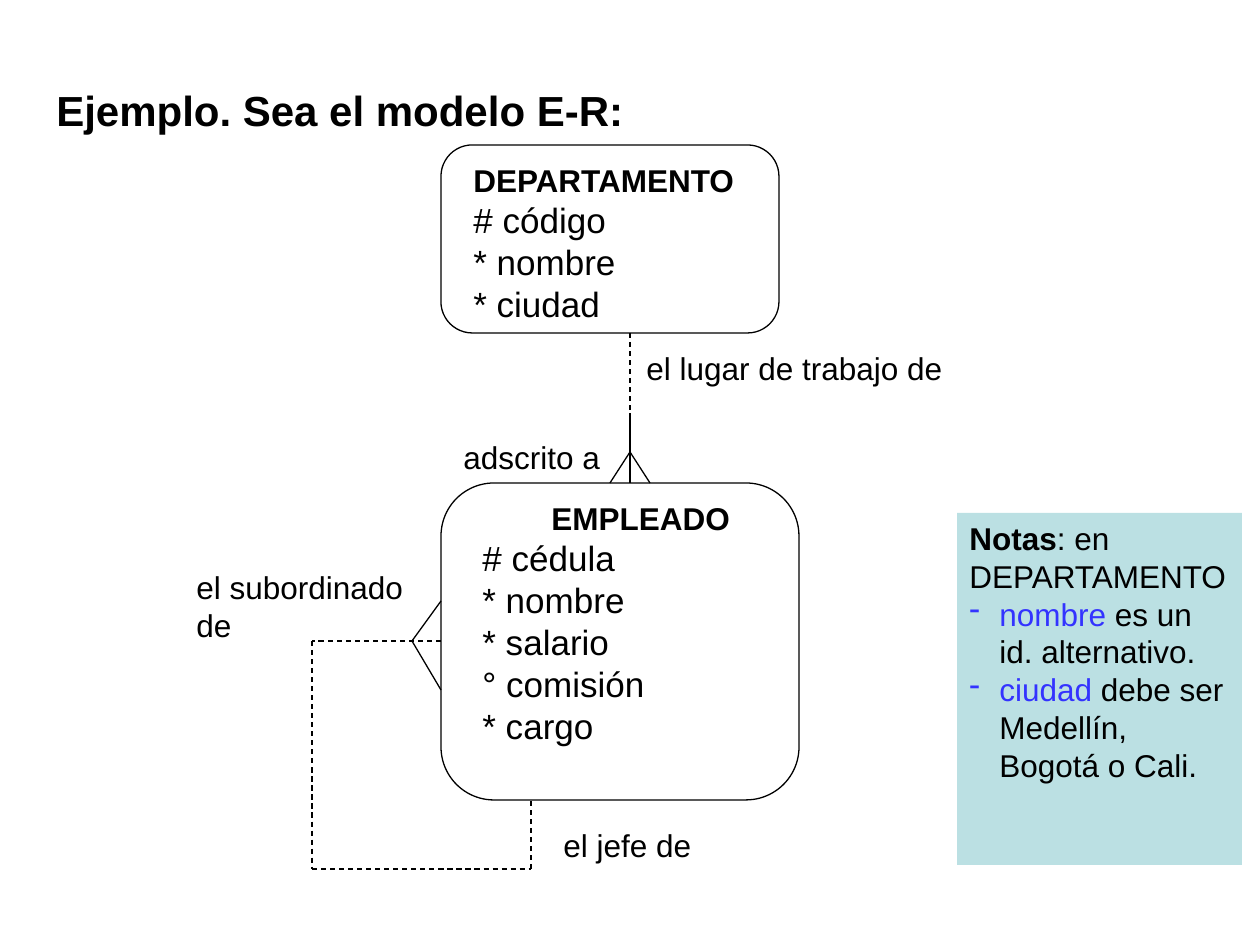
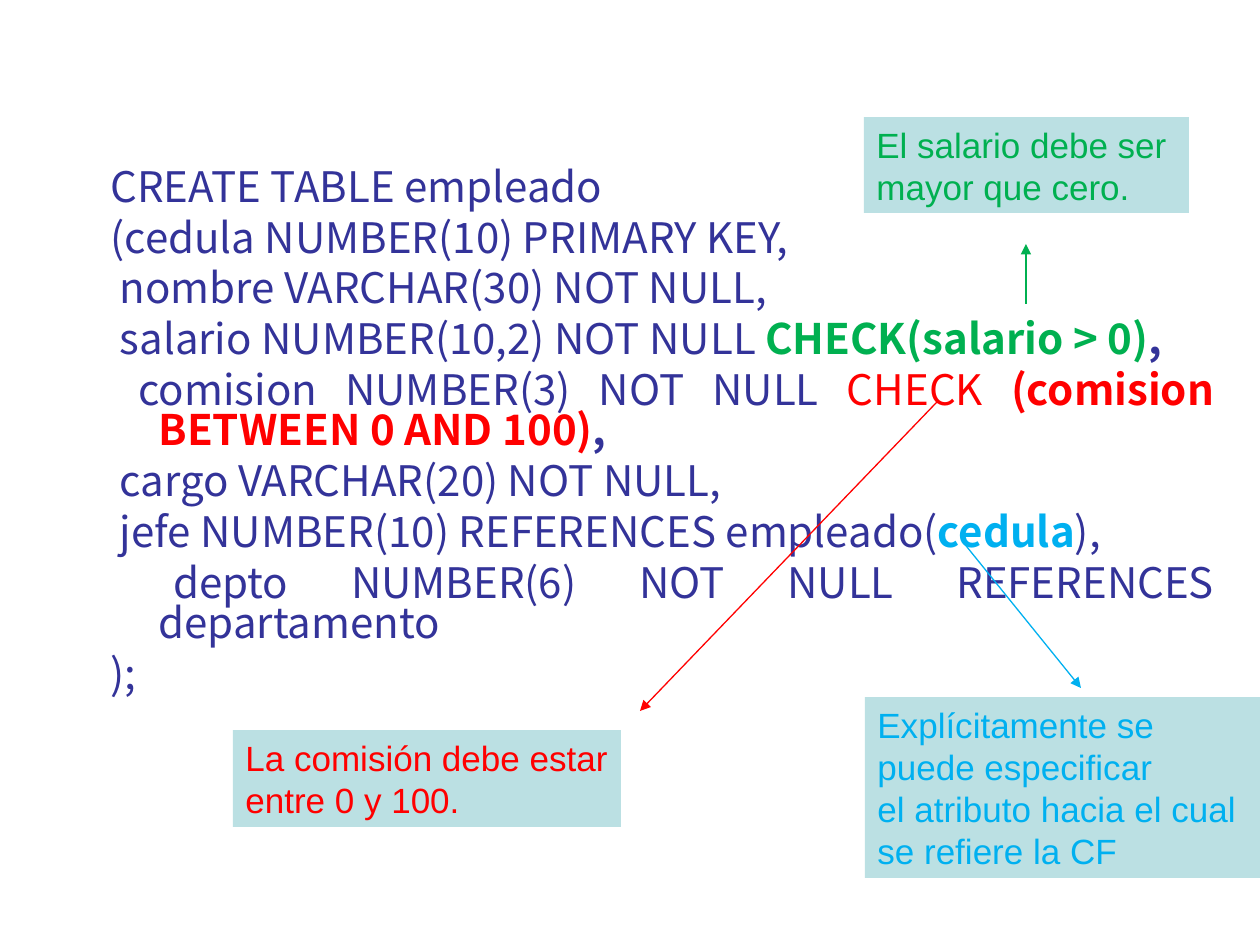
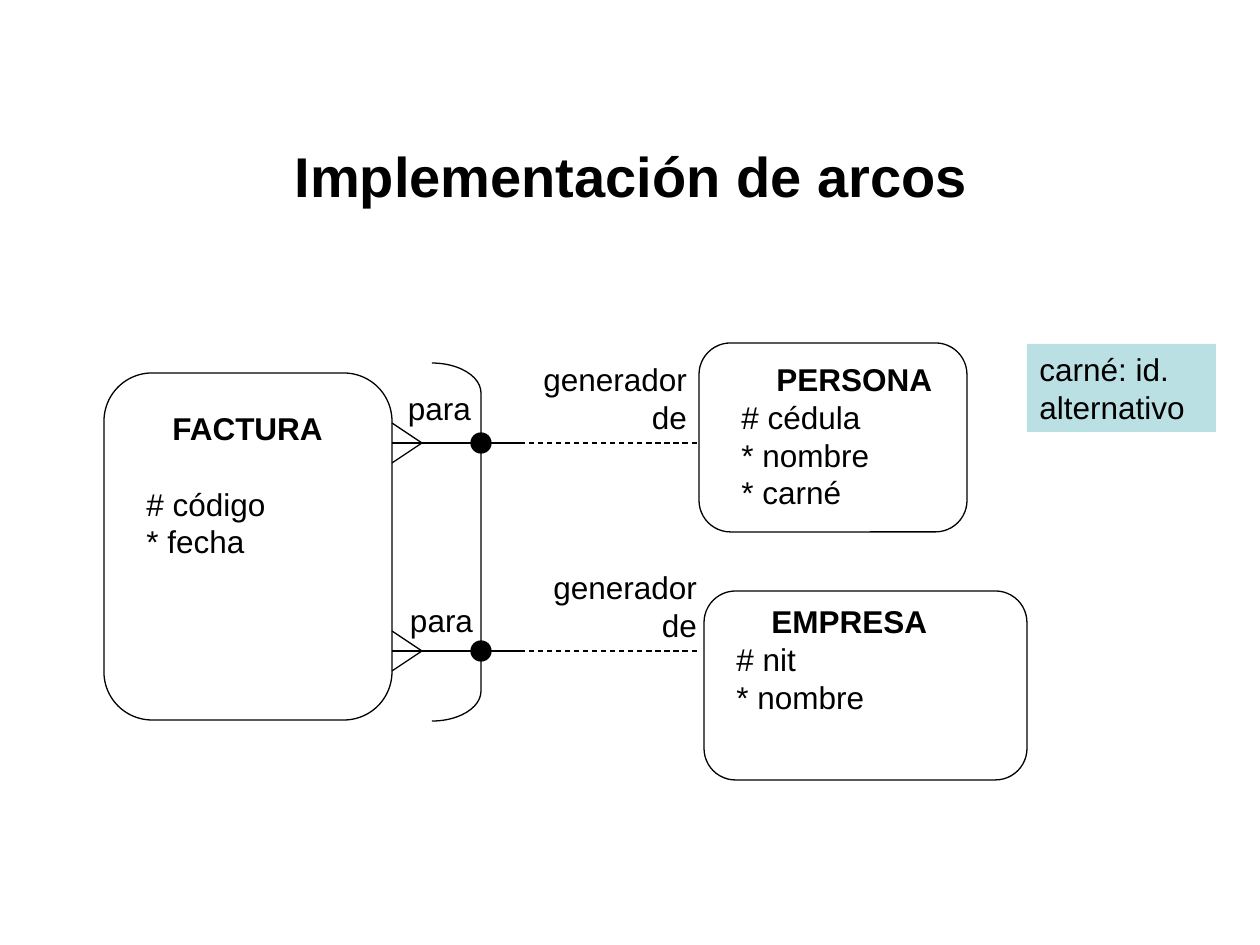
from lxml import etree
from pptx import Presentation
from pptx.dml.color import RGBColor
from pptx.enum.dml import MSO_LINE
from pptx.enum.shapes import MSO_CONNECTOR, MSO_SHAPE
from pptx.enum.text import PP_ALIGN
from pptx.oxml.ns import qn
from pptx.util import Pt

STRAIGHT = MSO_CONNECTOR.STRAIGHT
ROUNDED, BRACKET, OVAL = MSO_SHAPE.ROUNDED_RECTANGLE, MSO_SHAPE.RIGHT_BRACKET, MSO_SHAPE.OVAL
DASH = MSO_LINE.DASH
LEFT, CENTER, RIGHT, JUSTIFY = PP_ALIGN.LEFT, PP_ALIGN.CENTER, PP_ALIGN.RIGHT, PP_ALIGN.JUSTIFY

BLACK, NOTE, BLUE, NAVY = "000000", "BBE0E3", "3333FF", "333399"
GREEN, RED, CYAN = "00B050", "FF0000", "00B0F0"
SANS, CODE = "Arial", "Noto Sans CJK SC"
EMU_PER_PX = 914400 / 126

MODEL_TITLE = "Ejemplo. Sea el modelo E-R:"
MODEL_ENTITIES = [
    dict(outline=(441, 145, 338, 188), caption=(461, 155, 300, 176), name="DEPARTAMENTO",
         attributes=["# código", "* nombre", "* ciudad"], size=20),
    dict(outline=(441, 483, 358, 317), caption=(470, 493, 320, 261), name="EMPLEADO", shift=69,
         attributes=["# cédula", "* nombre", "* salario", "° comisión", "* cargo"], size=20),
]
MODEL_SOLID = [[(630, 413), (630, 483)], [(610, 483), (630, 452), (650, 483)],
               [(441, 601), (412, 641), (441, 690)]]
MODEL_DASHED = [[(630, 333), (630, 413)],
                [(441, 641), (312, 641), (312, 869), (531, 869), (531, 800)]]
MODEL_ROLES = [
    ((551, 820, 180, 50), ["el jefe de"]),
    ((184, 562, 240, 88), ["el subordinado", "de"]),
    ((634, 343, 367, 50), ["el lugar de trabajo de"]),
    ((451, 432, 208, 50), ["adscrito a"]),
]
NOTES_BOX = (957, 513, 285, 352)
NOTES_HEADING = [("Notas", dict(bold=True)), ": en DEPARTAMENTO"]
NOTES = [[("nombre", dict(color=BLUE)), " es un id. alternativo."],
         [("ciudad", dict(color=BLUE)), " debe ser Medellín, Bogotá o Cali."]]

CREATE_TABLE = [
    "CREATE TABLE empleado",
    "(cedula NUMBER(10) PRIMARY KEY,",
    " nombre VARCHAR(30) NOT NULL,",
    [" salario NUMBER(10,2) NOT NULL ", ("CHECK(salario > 0)", dict(color=GREEN, bold=True)),
     (",", dict(bold=True))],
    [" comision NUMBER(3) NOT NULL ", ("CHECK ", dict(color=RED)),
     ("(comision BETWEEN 0 AND 100)", dict(color=RED, bold=True)), (",", dict(bold=True))],
    " cargo VARCHAR(20) NOT NULL,",
    [" jefe NUMBER(10) REFERENCES empleado(", ("cedula", dict(color=CYAN, bold=True)), "),"],
    " depto NUMBER(6) NOT NULL REFERENCES departamento",
    ");",
]
CONSTRAINTS = [
    (CYAN, (865, 697, 395, 181), [(963, 542), (1081, 688)],
     ["Explícitamente se puede especificar", "el atributo hacia el cual", "se refiere la CF"]),
    (GREEN, (864, 117, 325, 96), [(1026, 304), (1026, 244)],
     ["El salario debe ser", "mayor que cero."]),
    (RED, (233, 730, 388, 97), [(937, 402), (640, 711)],
     ["La comisión debe estar", "entre 0 y 100."]),
]

ARC_TITLE = "Implementación de arcos"
ARC_ENTITIES = [
    dict(outline=(104, 373, 288, 347), caption=(134, 403, 225, 164), name="FACTURA", shift=26,
         attributes=["# código", "* fecha"], name_gap=21.6),
    dict(outline=(699, 343, 268, 189), caption=(729, 354, 238, 202), name="PERSONA", shift=35,
         attributes=["# cédula", "* nombre", "* carné"]),
    dict(outline=(704, 591, 323, 189), caption=(724, 596, 270, 164), name="EMPRESA", shift=35,
         attributes=["# nit", "* nombre"]),
]
ARC_BRACKET = (432, 363, 49, 358)
ARC_BRANCHES = [
    (443, ("generador de", (520, 354, 179, 88)), ("para", (373, 383, 110, 50))),
    (651, ("generador de", (530, 562, 179, 88)), ("para", (375, 595, 110, 50))),
]
ARC_NOTE = ("carné: id. alternativo", (1027, 344, 189, 88))


def px(length):
    return round(length * EMU_PER_PX)


def place(box):
    return [px(length) for length in box]


def rgb(color):
    return RGBColor.from_string(color)


def text(slide, box, paragraphs, size=18, color=BLACK, font=SANS, bold=False, align=LEFT,
         fill=None, top=6, right=12, spacing=None, after=0, hanging=0):
    label = slide.shapes.add_textbox(*place(box))
    if fill:
        label.fill.solid()
        label.fill.fore_color.rgb = rgb(fill)
    frame = label.text_frame
    frame.word_wrap = True
    frame.margin_right = px(right)
    frame.margin_top = px(top)
    for index, content in enumerate(paragraphs):
        paragraph = frame.paragraphs[0] if index == 0 else frame.add_paragraph()
        paragraph.alignment = align
        paragraph.space_after = Pt(after)
        if spacing:
            paragraph.line_spacing = spacing
        if hanging:
            indent(paragraph, hanging, -hanging)
        for part in [content] if isinstance(content, str) else content:
            words, own = (part, {}) if isinstance(part, str) else part
            run = paragraph.add_run()
            run.text = words
            run.font.name = font
            run.font.size = Pt(own.get("size", size))
            run.font.bold = own.get("bold", bold)
            run.font.color.rgb = rgb(own.get("color", color))
    return frame.paragraphs


def indent(paragraph, margin, first):
    properties = paragraph._p.get_or_add_pPr()
    properties.set("marL", str(px(margin)))
    properties.set("indent", str(px(first)))
    return properties


def dash_bullet(paragraph, color):
    properties = indent(paragraph, 30, -30)
    tint = etree.SubElement(properties, qn("a:buClr"))
    etree.SubElement(tint, qn("a:srgbClr"), val=color)
    etree.SubElement(properties, qn("a:buChar"), char="-")


def outline(slide, kind, box, adjustment=None, fill=None):
    shape = slide.shapes.add_shape(kind, *place(box))
    shape.shadow.inherit = False
    if fill:
        shape.fill.solid()
        shape.fill.fore_color.rgb = rgb(fill)
    else:
        shape.fill.background()
    shape.line.color.rgb = rgb(BLACK)
    shape.line.width = Pt(0.75)
    if adjustment is not None:
        shape.adjustments[0] = adjustment


def route(slide, points, color=BLACK, dashed=False, arrow=False):
    for start, end in zip(points, points[1:]):
        line = slide.shapes.add_connector(STRAIGHT, *place(start + end))
        line.line.color.rgb = rgb(color)
        line.line.width = Pt(0.75)
        if dashed:
            line.line.dash_style = DASH
        if arrow:
            etree.SubElement(line.line._get_or_add_ln(), qn("a:tailEnd"), type="triangle")
        etree.SubElement(line._element.spPr, qn("a:effectLst"))


def entity(slide, outline_box, caption, name, attributes, shift=0, size=18, name_gap=0):
    outline(slide, ROUNDED, outline_box, 0.167)
    rows = [[(name, dict(bold=True, size=18))]] + attributes
    heading = text(slide, caption, rows, size=size)[0]
    indent(heading, 0, shift)
    heading.space_after = Pt(name_gap)


def entities(slide, items):
    for item in items:
        details = {key: value for key, value in item.items() if key != "outline"}
        entity(slide, item["outline"], **details)


def title(slide, words, box, **style):
    text(slide, box, [words], bold=True, **style)


def model_slide(slide):
    title(slide, MODEL_TITLE, (44, 0, 1134, 157), size=24, top=84)
    entities(slide, MODEL_ENTITIES)
    for points in MODEL_SOLID:
        route(slide, points)
    for points in MODEL_DASHED:
        route(slide, points, dashed=True)
    for box, role in MODEL_ROLES:
        text(slide, box, role)
    notes = text(slide, NOTES_BOX, [NOTES_HEADING] + NOTES, fill=NOTE)
    for note in notes[1:]:
        dash_bullet(note, BLUE)


def table_slide(slide):
    text(slide, (98, 39, 1128, 803), CREATE_TABLE, size=24, color=NAVY, font=CODE,
         align=JUSTIFY, top=131, spacing=0.8, after=6, hanging=48)
    for color, box, arrow, rule in CONSTRAINTS:
        text(slide, box, rule, size=20, color=color, fill=NOTE, right=8)
        route(slide, arrow, color, arrow=True)


def arc_slide(slide):
    title(slide, ARC_TITLE, (64, 135, 1134, 123), size=32, align=CENTER, top=7)
    entities(slide, ARC_ENTITIES)
    outline(slide, BRACKET, ARC_BRACKET, 0.61)
    for y, *roles in ARC_BRANCHES:
        route(slide, [(392, y - 20), (422, y), (392, y + 20)])
        route(slide, [(392, y), (520, y)])
        route(slide, [(520, y), (699, y)], dashed=True)
        outline(slide, OVAL, (471, y - 10, 20, 20), fill=BLACK)
        for role, box in roles:
            text(slide, box, [role], align=RIGHT)
    note, box = ARC_NOTE
    text(slide, box, [note], fill=NOTE)


def main():
    deck = Presentation()
    deck.slide_width, deck.slide_height = px(1260), px(945)
    for build in (model_slide, table_slide, arc_slide):
        build(deck.slides.add_slide(deck.slide_layouts[6]))
    deck.save("out.pptx")


if __name__ == "__main__":
    main()
